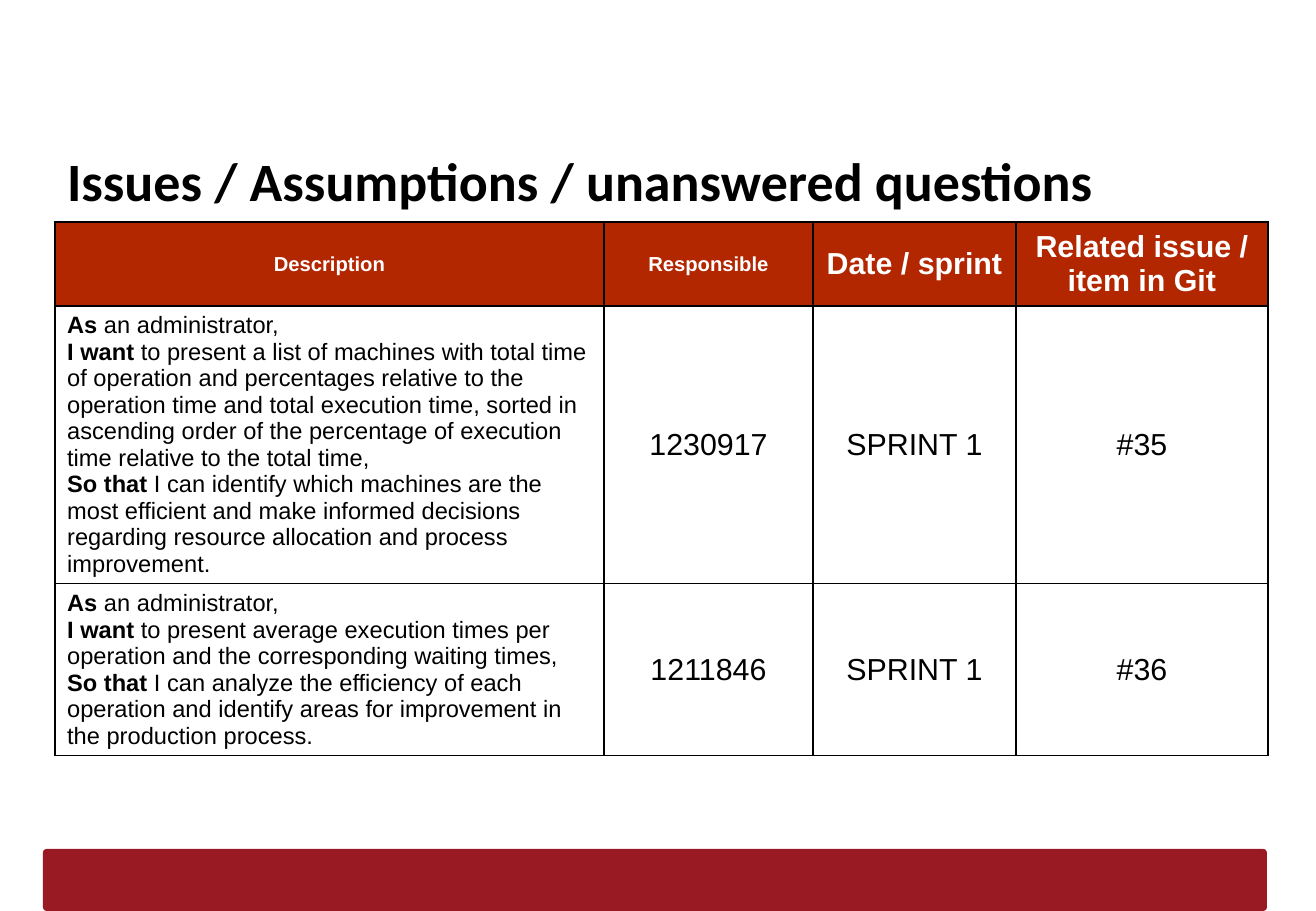
"""Build the slide listing issues, assumptions and unanswered questions."""
import pptx
import pptx.dml.color
import pptx.enum.shapes
import pptx.enum.text
import pptx.oxml
import pptx.oxml.ns
import pptx.util

EMU_PER_PX = 7526
COLORS = {"bar": "9A1A24", "header": "B22600", "paper": "FFFFFF", "ink": "000000"}
ALIGN = pptx.enum.text.PP_ALIGN
ANCHOR = pptx.enum.text.MSO_ANCHOR

COLUMN_WIDTHS = [549, 209, 203, 252]
ROW_HEIGHTS = [84, 277, 172]
HEADERS = [
    (["Description"], 12),
    (["Responsible"], 12),
    (["Date / sprint"], 18),
    (["Related issue /", "item in Git"], 18),
]
STORY_OPENERS = ["As", "I want", "So that"]
ISSUES = [
    ([" an administrator,",
      " to present a list of machines with total time of operation and percentages "
      "relative to the operation time and total execution time, sorted in ascending "
      "order of the percentage of execution time relative to the total time,",
      " I can identify which machines are the most efficient and make informed "
      "decisions regarding resource allocation and process improvement."],
     ["1230917", "SPRINT 1", "#35"]),
    ([" an administrator,",
      " to present average execution times per operation and the corresponding "
      "waiting times,",
      " I can analyze the efficiency of each operation and identify areas for "
      "improvement in the production process."],
     ["1211846", "SPRINT 1", "#36"]),
]


def px(length):
    return pptx.util.Emu(length * EMU_PER_PX)


def rgb(name):
    return pptx.dml.color.RGBColor.from_string(COLORS[name])


def add_run(paragraph, text, size, color="ink", bold=False, font="Arial"):
    run = paragraph.add_run()
    run.text = text
    run.font.name = font
    run.font.size = pptx.util.Pt(size)
    run.font.bold = bold
    run.font.color.rgb = rgb(color)


def add_footer_bar(slide):
    bar = slide.shapes.add_shape(
        pptx.enum.shapes.MSO_SHAPE.ROUNDED_RECTANGLE, px(43), px(849), px(1224), px(62))
    bar.adjustments[0] = 0.06
    bar.shadow.inherit = False
    bar.fill.solid()
    bar.fill.fore_color.rgb = rgb("bar")
    bar.line.fill.background()


def set_title(slide, text):
    title = slide.shapes.title
    title.left, title.top, title.width, title.height = px(55), px(132), px(1202), px(77)
    frame = title.text_frame
    frame.word_wrap = True
    frame.auto_size = pptx.enum.text.MSO_AUTO_SIZE.NONE
    frame.vertical_anchor = ANCHOR.TOP
    frame.margin_left = frame.margin_right = frame.margin_bottom = px(12)
    frame.margin_top = px(15)
    paragraph = frame.paragraphs[0]
    paragraph.alignment = ALIGN.LEFT
    paragraph.line_spacing = 1.0
    add_run(paragraph, text, 32, bold=True, font="Calibri")


def style_cell(cell, fill):
    cell.vertical_anchor = ANCHOR.MIDDLE
    properties = cell._tc.get_or_add_tcPr()
    for side in ("lnL", "lnR", "lnT", "lnB"):
        properties.append(pptx.oxml.parse_xml(
            f'<a:{side} {pptx.oxml.ns.nsdecls("a")} w="12700"><a:solidFill>'
            f'<a:srgbClr val="{COLORS["ink"]}"/></a:solidFill></a:{side}>'))
    cell.fill.solid()
    cell.fill.fore_color.rgb = rgb(fill)


def fill_centered(cell, lines, size, color="ink", bold=False):
    frame = cell.text_frame
    for index, line in enumerate(lines):
        paragraph = frame.add_paragraph() if index else frame.paragraphs[0]
        paragraph.alignment = ALIGN.CENTER
        add_run(paragraph, line, size, color, bold)


def fill_story(cell, clauses):
    paragraph = cell.text_frame.paragraphs[0]
    for index, (opener, clause) in enumerate(zip(STORY_OPENERS, clauses)):
        if index:
            paragraph.add_line_break()
        add_run(paragraph, opener, 14, bold=True)
        add_run(paragraph, clause, 14)


def add_issue_table(slide):
    table = slide.shapes.add_table(
        len(ROW_HEIGHTS), len(COLUMN_WIDTHS), px(55), px(222),
        px(sum(COLUMN_WIDTHS)), px(sum(ROW_HEIGHTS))).table
    table.first_row = table.horz_banding = False
    for column, width in zip(table.columns, COLUMN_WIDTHS):
        column.width = px(width)
    for index, (row, height) in enumerate(zip(table.rows, ROW_HEIGHTS)):
        row.height = px(height)
        for cell in row.cells:
            style_cell(cell, "paper" if index else "header")
    for column, (lines, size) in enumerate(HEADERS):
        fill_centered(table.cell(0, column), lines, size, "paper", True)
    for row, (clauses, details) in enumerate(ISSUES, start=1):
        fill_story(table.cell(row, 0), clauses)
        for column, detail in enumerate(details, start=1):
            fill_centered(table.cell(row, column), [detail], 18)


def main():
    deck = pptx.Presentation()
    deck.slide_width, deck.slide_height = px(1316), px(911)
    slide = deck.slides.add_slide(deck.slide_layouts[5])
    add_footer_bar(slide)
    set_title(slide, "Issues / Assumptions / unanswered questions")
    add_issue_table(slide)
    deck.save("out.pptx")


if __name__ == "__main__":
    main()
